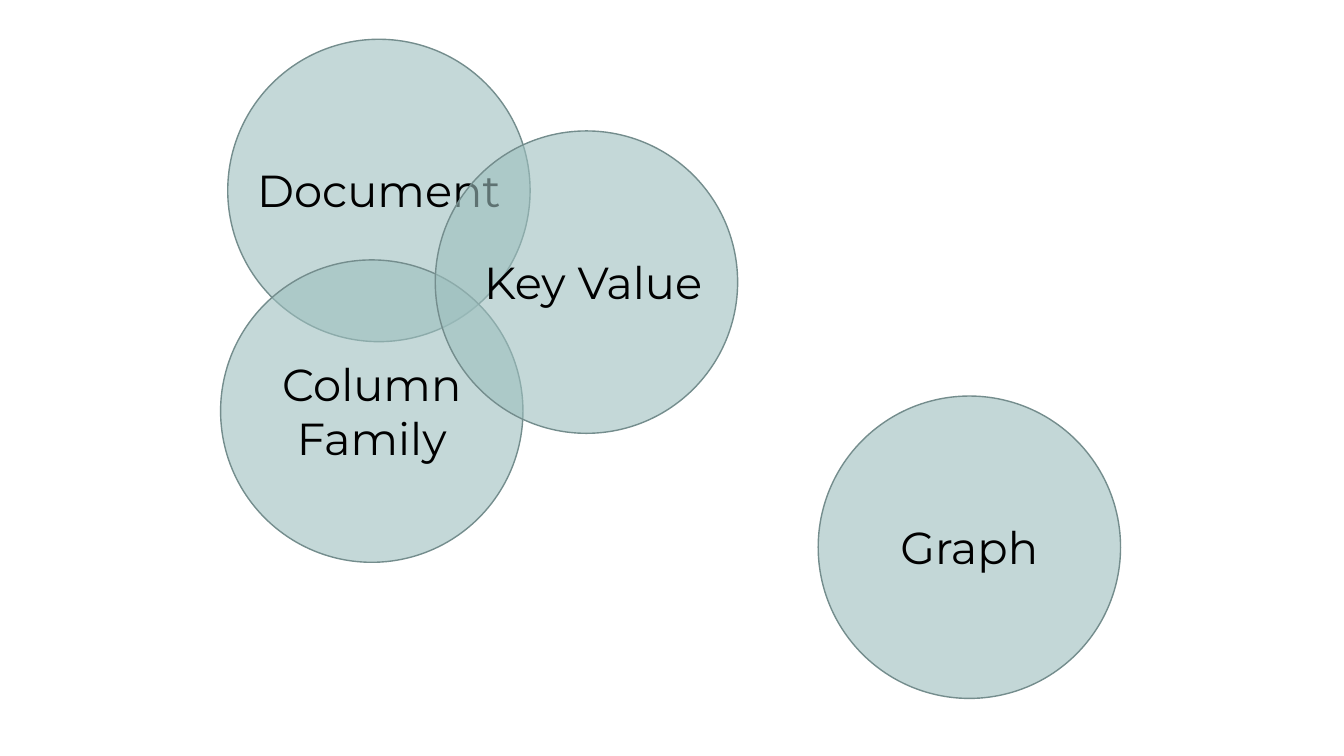
from dataclasses import dataclass

from lxml.etree import SubElement
from pptx import Presentation
from pptx.dml.color import RGBColor
from pptx.enum.shapes import MSO_SHAPE as Shape
from pptx.enum.text import MSO_AUTO_SIZE as AutoSize, PP_ALIGN as Align
from pptx.oxml.ns import qn
from pptx.util import Cm, Pt


@dataclass(frozen=True)
class Theme:
    fill: RGBColor = RGBColor.from_string("9DBFBE")
    outline: RGBColor = RGBColor.from_string("748D8D")
    ink: RGBColor = RGBColor.from_string("000000")
    font: str = "Montserrat"
    label_size: Pt = Pt(32)
    outline_width: Pt = Pt(1)


class VennPage:
    diameter = 7.62
    label_width = 7.29

    def __init__(self, page, theme):
        self.page = page
        self.theme = theme

    def circle(self, group, left, top, opacity):
        disc = group.shapes.add_shape(
            Shape.OVAL, Cm(left), Cm(top), Cm(self.diameter), Cm(self.diameter)
        )
        disc.shadow.inherit = False
        disc.fill.solid()
        disc.fill.fore_color.rgb = self.theme.fill
        color = disc.fill._xPr.find(qn("a:solidFill"))[0]
        SubElement(color, qn("a:alpha"), val=str(opacity * 1000))
        disc.line.color.rgb = self.theme.outline
        disc.line.width = self.theme.outline_width

    def label(self, group, text, center, middle, height):
        box = group.shapes.add_textbox(
            Cm(center - self.label_width / 2),
            Cm(middle - height / 2),
            Cm(self.label_width),
            Cm(height),
        )
        frame = box.text_frame
        frame.word_wrap = True
        frame.auto_size = AutoSize.SHAPE_TO_FIT_TEXT
        para = frame.paragraphs[0]
        para.alignment = Align.CENTER
        span = para.add_run()
        span.text = text
        span.font.name = self.theme.font
        span.font.size = self.theme.label_size
        span.font.color.rgb = self.theme.ink

    def family(self, text, left, top, opacity=60, height=1.63, shift=0):
        group = self.page.shapes.add_group_shape()
        radius = self.diameter / 2
        self.circle(group, left, top, opacity)
        self.label(group, text, left + radius + shift, top + radius, height)


def main():
    deck = Presentation()
    deck.slide_width, deck.slide_height = Cm(33.87), Cm(19.05)
    page = deck.slides.add_slide(deck.slide_layouts[6])
    venn = VennPage(page, Theme())
    venn.family("Document", 5.74, 0.99)
    venn.family("Column Family", 5.56, 6.55, height=3)
    venn.family("Key Value", 10.97, 3.3, shift=0.17)
    venn.family("Graph", 20.62, 9.98, opacity=61)
    deck.save("out.pptx")


if __name__ == "__main__":
    main()
